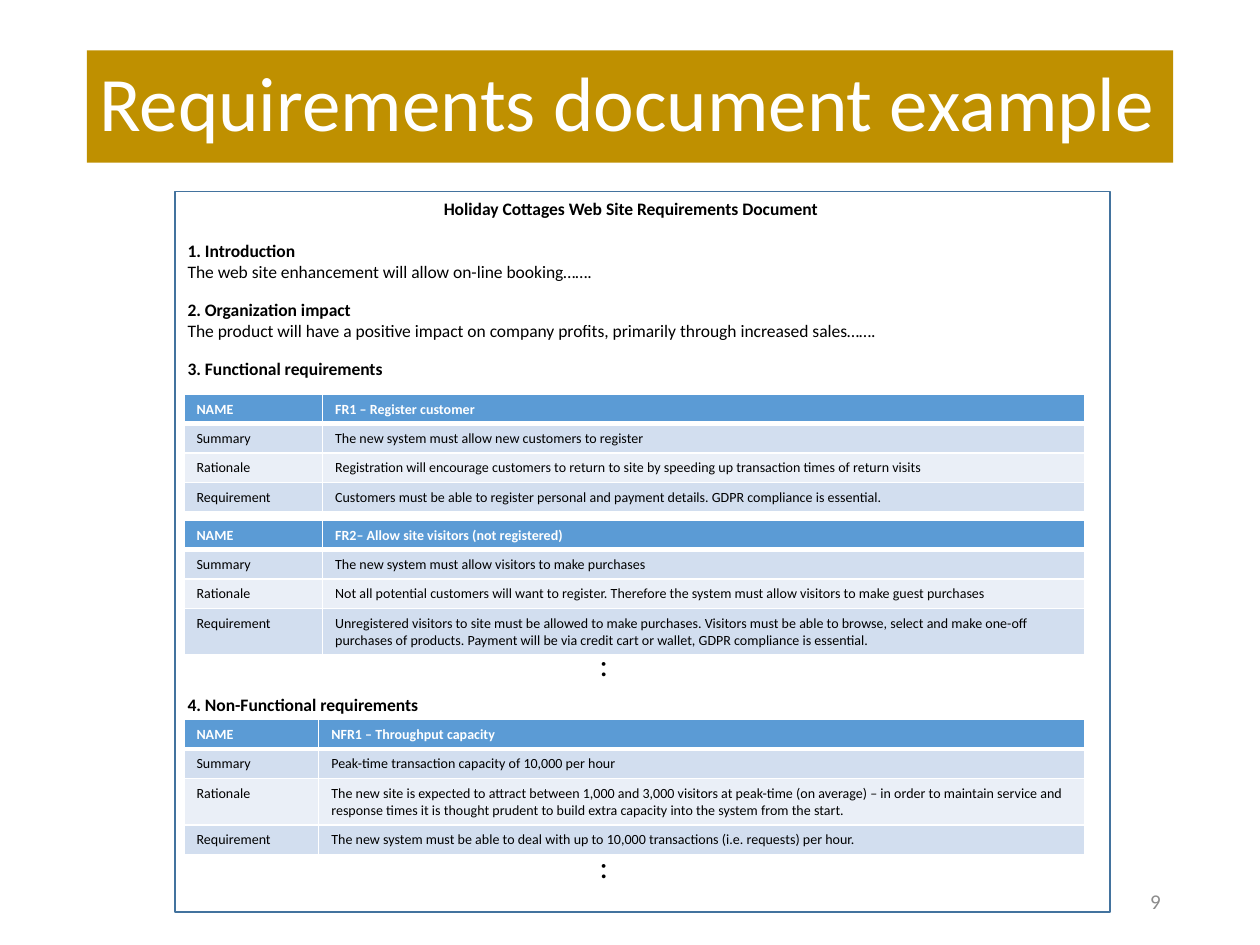
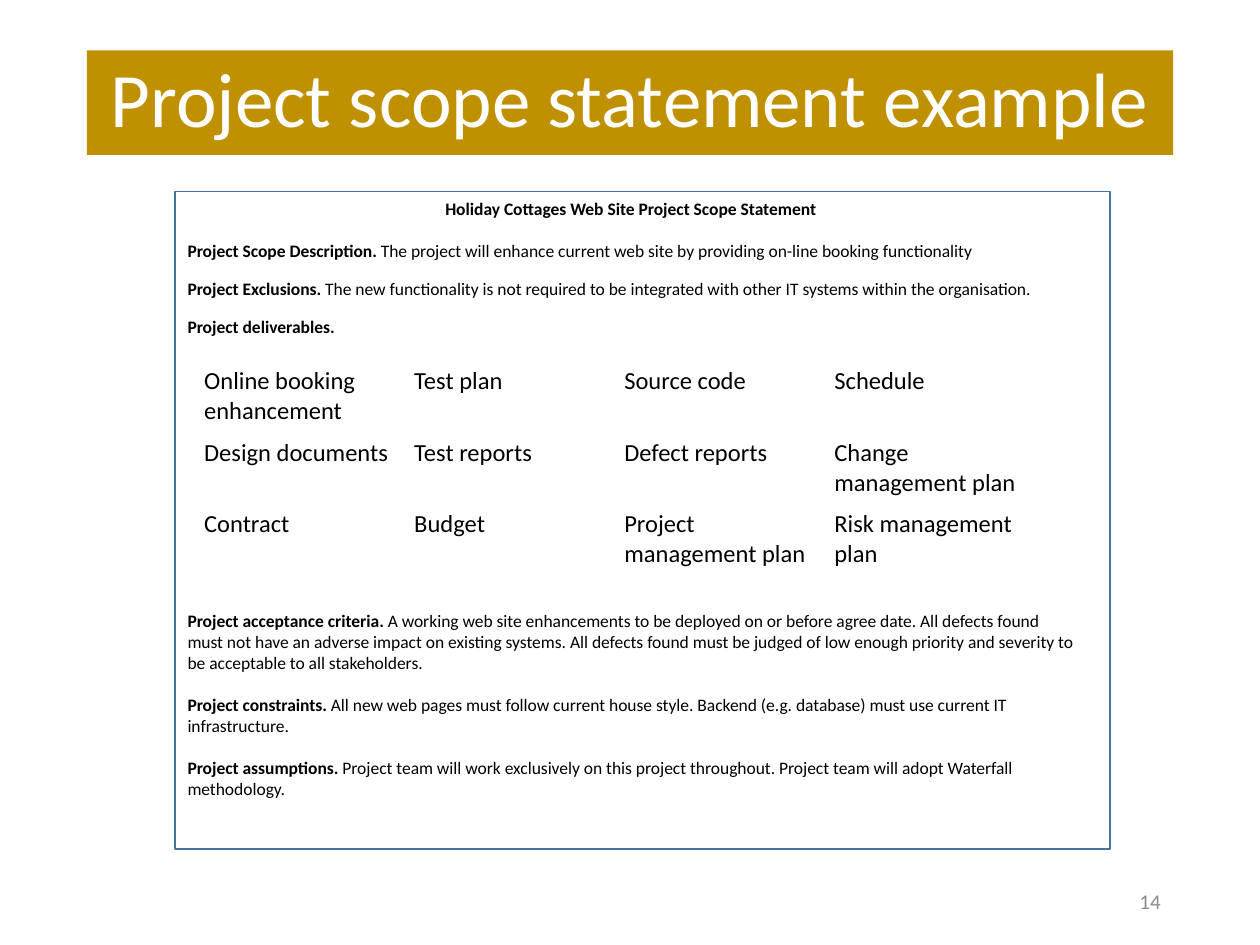
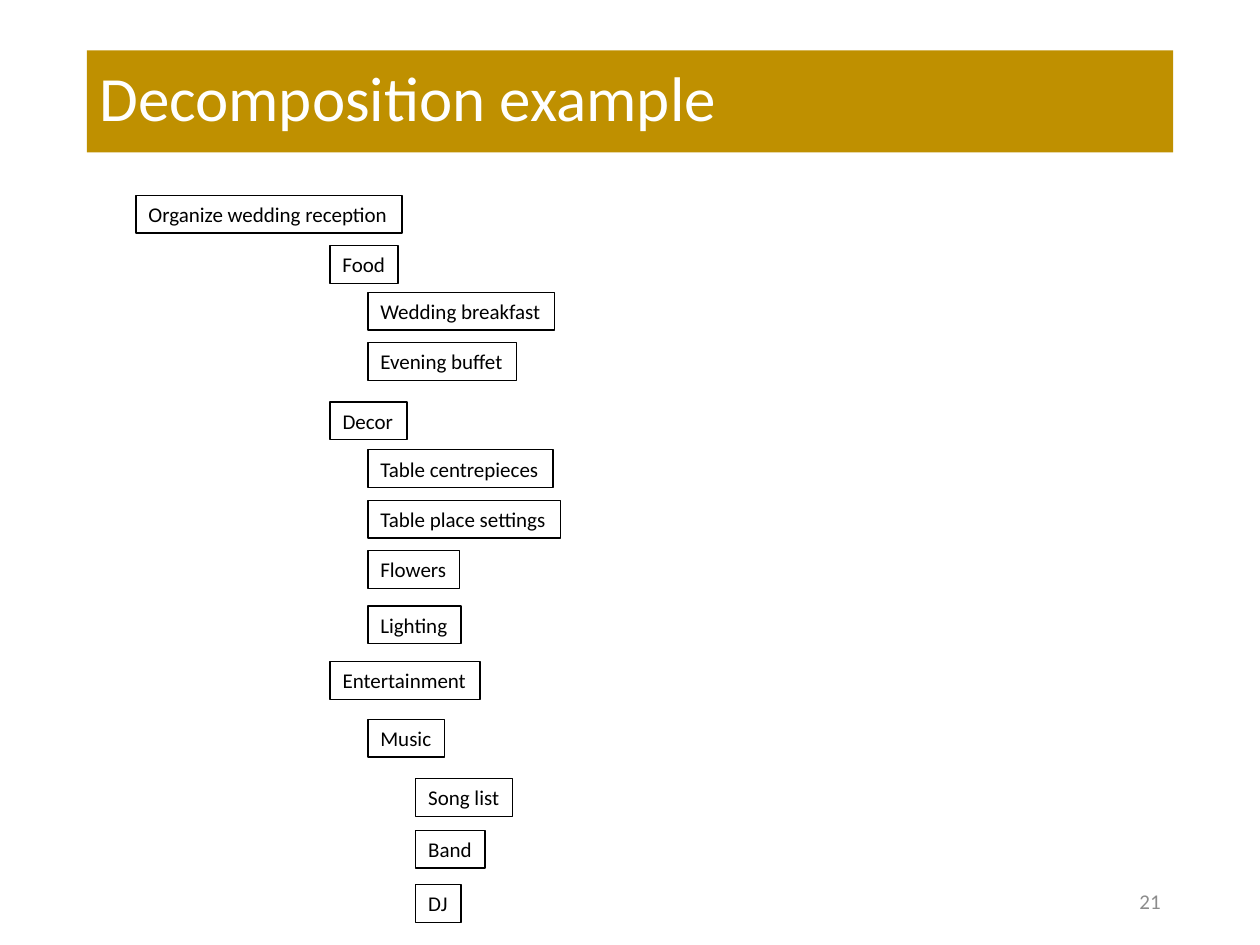
from typing import NamedTuple

from pptx import Presentation
from pptx import util as u
from pptx.dml.color import RGBColor
from pptx.enum import shapes, text
from pptx.oxml import parse_xml
from pptx.oxml.ns import nsdecls


class Theme:
    FONT = "Calibri"
    GOLD = "BF9000"
    WHITE = "FFFFFF"
    BLACK = "000000"
    GREY = "8C8C8C"
    FRAME = "43739E"
    HEADER = "5B9BD5"
    BANDS = ("D2DEEF", "EAEFF7")
    TITLE, SHORT_TITLE = 44, 36
    DELIVERABLE, NODE, BODY, CELL, DOTS = 14, 12, 10, 8, 18


class Box(NamedTuple):
    left: float
    top: float
    width: float
    height: float

    def inner(self, left, top, width, height):
        """Return a box whose corner is measured from this box's corner."""
        return Box(self.left + left, self.top + top, width, height)

    def lengths(self):
        return [u.Inches(value) for value in self]


LEFT, CENTER, RIGHT = (text.PP_ALIGN.LEFT, text.PP_ALIGN.CENTER, text.PP_ALIGN.RIGHT)
MIDDLE = text.MSO_ANCHOR.MIDDLE
ROW_HEIGHT, TALL_ROW_HEIGHT = 0.23, 0.37
TABLE_WIDTH = 7.15

REQUIREMENT_TABLES = [
    # top within the document, first column width, tall row, column of values
    (1.61, 1.1, None, [
        "FR1 – Register customer",
        "The new system must allow new customers to register",
        "Registration will encourage customers to return to site by speeding up "
        "transaction times of return visits",
        "Customers must be able to register personal and payment details. "
        "GDPR compliance is essential."]),
    (2.61, 1.1, 3, [
        "FR2– Allow site visitors (not registered)",
        "The new system must allow visitors to make purchases",
        "Not all potential customers will want to register. Therefore the system "
        "must allow visitors to make guest purchases",
        "Unregistered visitors to site must be allowed to make purchases. Visitors "
        "must be able to browse, select and make one-off purchases of products. "
        "Payment will be via credit cart or wallet, GDPR compliance is essential."]),
    (4.19, 1.07, 2, [
        "NFR1 – Throughput capacity",
        "Peak-time transaction capacity of 10,000 per hour",
        "The new site is expected to attract between 1,000 and 3,000 visitors at "
        "peak-time (on average) – in order to maintain service and response times it "
        "is thought prudent to build extra capacity into the system from the start.",
        "The new system must be able to deal with up to 10,000 transactions "
        "(i.e. requests) per hour."]),
]

# Each paragraph: space before, bold text, regular text
REQUIREMENT_TEXT = [
    (12, "1. Introduction", ""),
    (0, "", "The web site enhancement will allow on-line booking……."),
    (9.7, "2. Organization impact", ""),
    (0, "", "The product will have a positive impact on company profits, "
            "primarily through increased sales……."),
    (9.7, "3. Functional requirements", ""),
    (180, "4. Non-Functional requirements", ""),
]
SCOPE_TEXT = [
    (12, "Project Scope Description. ",
     "The project will enhance current web site by providing on-line booking functionality"),
    (9.7, "Project Exclusions. ",
     "The new functionality is not required to be integrated with other IT systems "
     "within the organisation."),
    (9.7, "Project deliverables.", ""),
    (156, "Project acceptance criteria. ",
     "A working web site enhancements to be deployed on or before agree date. All "
     "defects found must not have an adverse impact on existing systems. All defects "
     "found must be judged of low enough priority and severity to be acceptable to "
     "all stakeholders."),
    (12, "Project constraints.",
     " All new web pages must follow current house style. Backend (e.g. database) "
     "must use current IT infrastructure."),
    (12, "Project assumptions.",
     " Project team will work exclusively on this project throughout. Project team "
     "will adopt Waterfall methodology."),
]
DELIVERABLES = [
    ["Online booking enhancement", "Test plan", "Source code", "Schedule"],
    ["Design documents", "Test reports", "Defect reports", "Change management plan"],
    ["Contract", "Budget", "Project management plan", "Risk management plan"],
]

LEVEL_LEFTS = (0, 1.54, 1.84, 2.22)
# Each node: level, top within the outline, width, label
NODES = [
    (0, 0, 2.11, "Organize wedding reception"),
    (1, 0.4, 0.54, "Food"),
    (2, 0.77, 1.48, "Wedding breakfast"),
    (2, 1.17, 1.18, "Evening buffet"),
    (1, 1.64, 0.61, "Decor"),
    (2, 2.02, 1.47, "Table centrepieces"),
    (2, 2.42, 1.53, "Table place settings"),
    (2, 2.82, 0.73, "Flowers"),
    (2, 3.26, 0.74, "Lighting"),
    (1, 3.7, 1.19, "Entertainment"),
    (2, 4.16, 0.61, "Music"),
    (3, 4.63, 0.77, "Song list"),
    (3, 5.04, 0.55, "Band"),
    (3, 5.47, 0.36, "DJ"),
]


def rgb(color):
    return RGBColor.from_string(color)


def write(paragraph, content, size=Theme.BODY, color=Theme.BLACK, bold=False, align=LEFT):
    paragraph.alignment = align
    run = paragraph.add_run()
    run.text = content
    font = run.font
    font.name, font.size, font.bold = Theme.FONT, u.Pt(size), bold
    font.color.rgb = rgb(color)


def add_text_box(slide, box, anchor=text.MSO_ANCHOR.TOP):
    text_frame = slide.shapes.add_textbox(*box.lengths()).text_frame
    text_frame.word_wrap = True
    text_frame.vertical_anchor = anchor
    return text_frame


def add_rectangle(slide, box, fill=None, line=None, line_width=1):
    shape = slide.shapes.add_shape(shapes.MSO_SHAPE.RECTANGLE, *box.lengths())
    shape.shadow.inherit = False
    if fill:
        shape.fill.solid()
        shape.fill.fore_color.rgb = rgb(fill)
    else:
        shape.fill.background()
    if line:
        shape.line.color.rgb = rgb(line)
        shape.line.width = u.Pt(line_width)
    else:
        shape.line.fill.background()
    return shape


def add_slide(presentation, title, number, band_height, size=Theme.TITLE, align=LEFT):
    """Add a slide with its title band and page number."""
    slide = presentation.slides.add_slide(presentation.slide_layouts[6])
    band = add_rectangle(slide, Box(0.69, 0.4, 8.62, band_height), fill=Theme.GOLD)
    band.text_frame.word_wrap = True
    band.text_frame.vertical_anchor = MIDDLE
    paragraph = band.text_frame.paragraphs[0]
    paragraph.line_spacing = 0.9
    write(paragraph, title, size=size, color=Theme.WHITE, align=align)
    footer = add_text_box(slide, Box(7.06, 6.95, 2.25, 0.4), MIDDLE)
    write(footer.paragraphs[0], str(number), size=12, color=Theme.GREY, align=RIGHT)
    return slide


def add_document(slide, box, heading, sections):
    """Add a framed page with a centred heading and its sections."""
    add_rectangle(slide, box, line=Theme.FRAME)
    text_frame = add_text_box(slide, box.inner(0, 0, 7.23, box.height))
    write(text_frame.paragraphs[0], heading, bold=True, align=CENTER)
    for space_before, bold_text, regular_text in sections:
        paragraph = text_frame.add_paragraph()
        paragraph.space_before = u.Pt(space_before)
        if bold_text:
            write(paragraph, bold_text, bold=True)
        if regular_text:
            write(paragraph, regular_text)


def set_borders(cell, bottom_width):
    properties = cell._tc.get_or_add_tcPr()
    widths = {"lnL": 1, "lnR": 1, "lnT": 1, "lnB": bottom_width}
    for position, (side, width) in enumerate(widths.items()):
        properties.insert(position, parse_xml(
            f'<a:{side} {nsdecls("a")} w="{u.Pt(width)}"><a:solidFill>'
            f'<a:srgbClr val="{Theme.WHITE}"/></a:solidFill></a:{side}>'))


def add_table(slide, box, column_widths, row_heights):
    table = slide.shapes.add_table(
        len(row_heights), len(column_widths), *box.lengths()).table
    for column, width in zip(table.columns, column_widths):
        column.width = u.Inches(width)
    for row, height in zip(table.rows, row_heights):
        row.height = u.Inches(height)
    return table


def add_requirement_table(slide, box, name_width, tall_row, values):
    labels = ("NAME", "Summary", "Rationale", "Requirement")
    heights = [TALL_ROW_HEIGHT if row == tall_row else ROW_HEIGHT
               for row in range(len(labels))]
    table = add_table(slide, box, (name_width, box.width - name_width), heights)
    for row, contents in enumerate(zip(labels, values)):
        header = row == 0
        for column, content in enumerate(contents):
            cell = table.cell(row, column)
            cell.fill.solid()
            cell.fill.fore_color.rgb = rgb(
                Theme.HEADER if header else Theme.BANDS[(row - 1) % 2])
            set_borders(cell, 3 if header else 1)
            write(cell.text_frame.paragraphs[0], content, size=Theme.CELL, bold=header,
                  color=Theme.WHITE if header else Theme.BLACK)


def add_deliverables(slide, box):
    rows, columns = len(DELIVERABLES), len(DELIVERABLES[0])
    table = add_table(slide, box, [box.width / columns] * columns,
                      [box.height / rows] * rows)
    table.first_row = table.horz_banding = False
    for row, contents in enumerate(DELIVERABLES):
        for column, content in enumerate(contents):
            cell = table.cell(row, column)
            cell.fill.background()
            write(cell.text_frame.paragraphs[0], content, size=Theme.DELIVERABLE)


def add_outline(slide, box):
    for level, top, width, label in NODES:
        node = add_rectangle(slide, box.inner(LEVEL_LEFTS[level], top, width, 0.3),
                             line=Theme.BLACK, line_width=0.75)
        node.text_frame.word_wrap = False
        node.text_frame.auto_size = text.MSO_AUTO_SIZE.SHAPE_TO_FIT_TEXT
        write(node.text_frame.paragraphs[0], label, size=Theme.NODE)


def build_requirements_slide(presentation):
    slide = add_slide(presentation, "Requirements document example", 9, 0.89)
    page = Box(1.39, 1.52, 7.42, 5.72)
    add_document(slide, page, "Holiday Cottages Web Site Requirements Document",
                 REQUIREMENT_TEXT)
    for top, name_width, tall_row, values in REQUIREMENT_TABLES:
        add_requirement_table(slide, page.inner(0.07, top, TABLE_WIDTH, 0.92),
                              name_width, tall_row, values)
    for top in (3.55, 5.15):
        dots = add_text_box(slide, page.inner(3.27, top, 0.28, 0.4))
        write(dots.paragraphs[0], ":", size=Theme.DOTS)


def build_scope_slide(presentation):
    slide = add_slide(presentation, "Project scope statement example", 14, 0.83,
                      align=CENTER)
    page = Box(1.39, 1.52, 7.42, 5.22)
    add_document(slide, page, "Holiday Cottages Web Site Project Scope Statement",
                 SCOPE_TEXT)
    add_deliverables(slide, page.inner(0.13, 1.34, 6.67, 1.7))


def build_decomposition_slide(presentation):
    slide = add_slide(presentation, "Decomposition example", 21, 0.81,
                      size=Theme.SHORT_TITLE)
    add_outline(slide, Box(1.08, 1.55, 3.38, 5.77))


def main():
    presentation = Presentation()
    presentation.slide_width, presentation.slide_height = u.Inches(10), u.Inches(7.5)
    build_requirements_slide(presentation)
    build_scope_slide(presentation)
    build_decomposition_slide(presentation)
    presentation.save("out.pptx")


if __name__ == "__main__":
    main()
